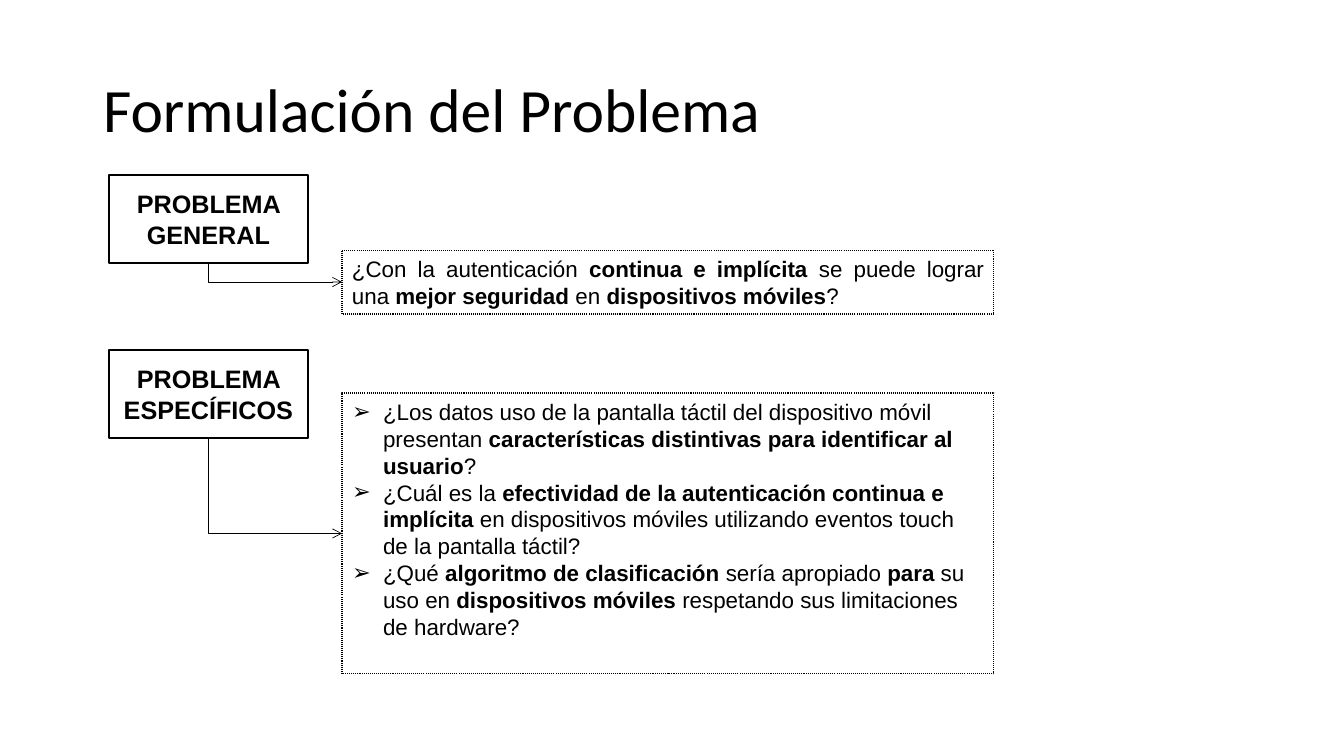
import lxml.etree
import pptx
import pptx.dml.color
import pptx.enum.dml
import pptx.enum.shapes
import pptx.enum.text
import pptx.oxml.ns
import pptx.util

EMU_PER_PX = 914400 / 100.8
BLACK = "000000"
ALIGN = pptx.enum.text.PP_ALIGN
ANCHOR = pptx.enum.text.MSO_ANCHOR
DASH = pptx.enum.dml.MSO_LINE


def px(length):
    return pptx.util.Emu(round(length * EMU_PER_PX))


def color(hex_string):
    return pptx.dml.color.RGBColor.from_string(hex_string)


def add_element(parent, tag, **attributes):
    element = lxml.etree.SubElement(parent, pptx.oxml.ns.qn(tag))
    for name, value in attributes.items():
        element.set(name, value)


def write_text(frame, paragraphs, font="Arial", size=16, align=ALIGN.LEFT,
               anchor=ANCHOR.TOP, line_spacing=1.0, bullet=None):
    """Fill a text frame; ** switches bold on and off."""
    frame.word_wrap = True
    frame.auto_size = pptx.enum.text.MSO_AUTO_SIZE.NONE
    frame.vertical_anchor = anchor
    for index, text in enumerate(paragraphs):
        paragraph = frame.add_paragraph() if index else frame.paragraphs[0]
        if bullet:
            properties = paragraph._p.get_or_add_pPr()
            properties.set("marL", str(px(31)))
            properties.set("indent", str(-px(31)))
            add_element(properties, "a:buFont", typeface=font)
            add_element(properties, "a:buChar", char=bullet)
        paragraph.alignment = align
        paragraph.line_spacing = line_spacing
        paragraph.space_before = pptx.util.Pt(0)
        for part, words in enumerate(text.split("**")):
            if words:
                run = paragraph.add_run()
                run.text = words
                run.font.name = font
                run.font.size = pptx.util.Pt(size)
                run.font.bold = part % 2 == 1
                run.font.color.rgb = color(BLACK)


class ProblemSlide:
    def __init__(self, presentation):
        layout = presentation.slide_layouts[1]
        self.slide = presentation.slides.add_slide(layout)

    def place(self, shape, box):
        shape.left, shape.top, shape.width, shape.height = map(px, box)

    def outline(self, shape, width, dash=None):
        shape.fill.background()
        shape.line.color.rgb = color(BLACK)
        shape.line.width = pptx.util.Pt(width)
        if dash:
            shape.line.dash_style = dash

    def title(self, text, box):
        shape = self.slide.shapes.title
        self.place(shape, box)
        write_text(shape.text_frame, [text], font="Calibri", size=44,
                   anchor=ANCHOR.MIDDLE, line_spacing=0.9)

    def question_list(self, questions, box):
        shape = self.slide.placeholders[1]
        self.place(shape, box)
        self.outline(shape, 0.75, DASH.ROUND_DOT)
        write_text(shape.text_frame, questions, bullet="➢")

    def box(self, text, box, width, dash=None, **text_format):
        shape = self.slide.shapes.add_shape(
            pptx.enum.shapes.MSO_SHAPE.RECTANGLE, *map(px, box))
        shape.shadow.inherit = False
        self.outline(shape, width, dash)
        write_text(shape.text_frame, [text], **text_format)

    def elbow_arrow(self, label_box, question_box):
        """Run down from the label's bottom, then right to the question."""
        start_x = label_box[0] + label_box[2] / 2
        start_y = label_box[1] + label_box[3]
        end_x = question_box[0]
        end_y = question_box[1] + question_box[3] / 2
        # The frame is turned by 270 degrees, so its sides are swapped
        center_x, center_y = (start_x + end_x) / 2, (start_y + end_y) / 2
        half_width, half_height = (end_y - start_y) / 2, (end_x - start_x) / 2
        connector = self.slide.shapes.add_connector(
            pptx.enum.shapes.MSO_CONNECTOR.ELBOW,
            px(center_x + half_width), px(center_y - half_height),
            px(center_x - half_width), px(center_y + half_height))
        connector.line.color.rgb = color(BLACK)
        connector.line.width = pptx.util.Pt(0.5)
        properties = connector._element.spPr
        properties.find(pptx.oxml.ns.qn("a:xfrm")).set("rot", "16200000")
        properties.find(pptx.oxml.ns.qn("a:prstGeom")).set("prst", "bentConnector2")
        add_element(connector.line._get_or_add_ln(), "a:tailEnd", type="arrow")
        add_element(properties, "a:effectLst")


def main():
    presentation = pptx.Presentation()
    presentation.slide_width, presentation.slide_height = px(1344), px(756)
    problem = ProblemSlide(presentation)

    # Title
    problem.title("Formulación del Problema", (93, 40, 1159, 146))

    # Questions
    general_question = (342, 250, 652, 64)
    specific_questions = (342, 393, 652, 281)
    problem.question_list([
        "¿Los datos uso de la pantalla táctil del dispositivo móvil presentan "
        "**características distintivas para identificar al usuario**?",
        "¿Cuál es la **efectividad de la autenticación continua e implícita **"
        "en dispositivos móviles utilizando eventos touch de la pantalla táctil?",
        "¿Qué **algoritmo de clasificación **sería apropiado **para** su uso en "
        "**dispositivos móviles** respetando sus limitaciones de hardware?",
    ], specific_questions)
    problem.box(
        "¿Con la autenticación **continua e implícita** se puede lograr una "
        "**mejor seguridad **en **dispositivos móviles**?",
        general_question, 0.75, DASH.ROUND_DOT, align=ALIGN.JUSTIFY)

    # Labels, each with an arrow to its question box
    for text, top, question_box in (
            ("**PROBLEMA GENERAL**", 175, general_question),
            ("**PROBLEMA ESPECÍFICOS**", 350, specific_questions)):
        label_box = (109, top, 199, 88)
        problem.box(text, label_box, 1, size=18, align=ALIGN.CENTER,
                    anchor=ANCHOR.MIDDLE)
        problem.elbow_arrow(label_box, question_box)

    presentation.save("out.pptx")


if __name__ == "__main__":
    main()
